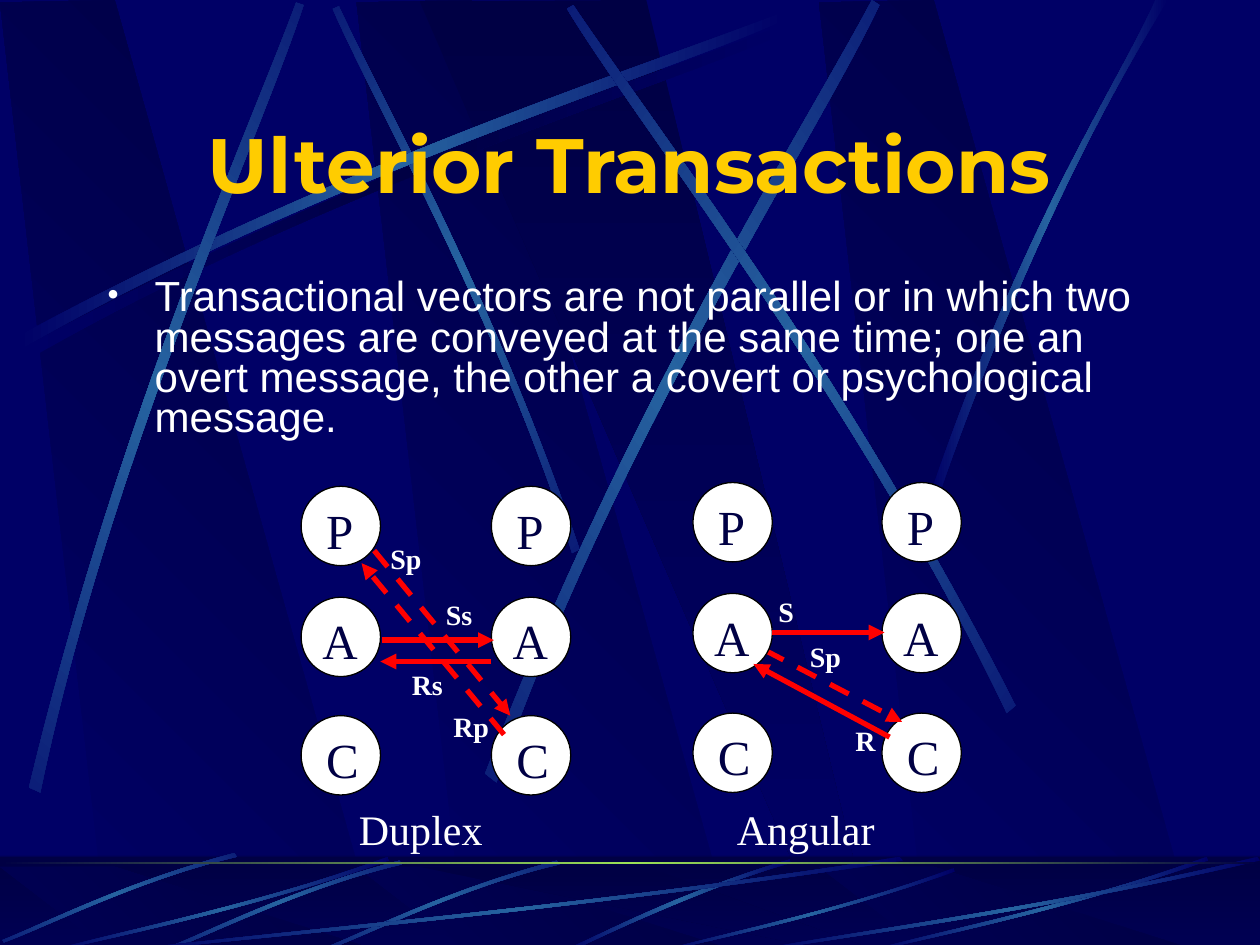
from copy import deepcopy
from math import cos, radians, sin

from lxml import etree
from pptx import Presentation
from pptx.dml.color import RGBColor
from pptx.enum.dml import MSO_LINE
from pptx.enum.shapes import MSO_CONNECTOR, MSO_SHAPE
from pptx.enum.text import MSO_ANCHOR, PP_ALIGN
from pptx.oxml.ns import qn
from pptx.util import Pt

PX = 9144  # EMU; 100 px to the inch
NAVY = RGBColor(0x00, 0x00, 0x66)
DARK = RGBColor(0x00, 0x00, 0x44)
STEEL = RGBColor(0x26, 0x63, 0xA0)
LIME = RGBColor(0x9C, 0xE1, 0x57)
GOLD = RGBColor(0xFF, 0xCC, 0x00)
WHITE = RGBColor(0xFF, 0xFF, 0xFF)
BLACK = RGBColor(0x00, 0x00, 0x00)
RED = RGBColor(0xFF, 0x00, 0x00)
SERIF = "Times New Roman"
DASH = MSO_LINE.DASH
STRAIGHT = MSO_CONNECTOR.STRAIGHT
OVAL, RECTANGLE = MSO_SHAPE.OVAL, MSO_SHAPE.RECTANGLE
CENTER, LEFT = PP_ALIGN.CENTER, PP_ALIGN.LEFT
MIDDLE, TOP = MSO_ANCHOR.MIDDLE, MSO_ANCHOR.TOP

FADE = (NAVY, STEEL, NAVY)
SHADE = (NAVY, DARK, NAVY)
BAND = ((86, 750), (302, 752), (91, 0), (0, 2))
WIDE_BAND = ((333, 1), (658, 751), (694, 751), (513, 0))
FOOT_BAND = ((86, 754), (302, 755), (91, 688), (0, 688))
WIDE_FOOT_BAND = ((333, 688), (658, 754), (694, 754), (513, 688))

# Each streak is two cubic curves of four points, joined into a closed outline.
SWEEP = ((14, 267), (278, 125), (518, 51), (620, 10),
         (623, 16), (522, 61), (248, 143), (17, 277))
SHORT_BEAM = ((460, 436), (391, 234), (302, 77), (269, 5),
              (264, 7), (295, 79), (398, 258), (454, 439))
LEFT_BEAM = ((23, 625), (93, 334), (197, 105), (235, 2),
             (241, 4), (207, 108), (86, 368), (32, 629))
MIDDLE_BEAM = ((385, 614), (498, 320), (638, 102), (692, 0),
               (698, 4), (649, 108), (486, 355), (394, 621))
RIGHT_BEAM = ((806, 560), (670, 293), (516, 95), (455, 4),
              (450, 7), (507, 101), (685, 325), (799, 566))
FAINT_BEAM = ((738, 393), (814, 173), (888, 66), (917, 0),
              (927, 0), (836, 145), (769, 322), (744, 397))
FOOT_ARC = ((627, 682), (537, 709), (477, 742), (448, 754),
            (453, 755), (490, 737), (571, 700), (628, 685))
FOOT_BEAM = ((186, 677), (99, 700), (33, 734), (2, 746),
             (3, 748), (34, 737), (110, 698), (188, 680))
# Fractions of the width, with heights in px below the top
FOOT_STREAK = ((1, 3), (0.57, 43), (0.17, 64), (0.005, 75),
               (0, 74), (0.165, 61), (0.615, 38), (0.995, 0))


def shifted(points, dx, dy=0):
    return [(x + dx, y + dy) for x, y in points]


def turned(points, degrees):
    """Points turned clockwise about the slide's top left corner."""
    c, s = cos(radians(degrees)), sin(radians(degrees))
    return [(x * c - y * s, x * s + y * c) for x, y in points]


def before_turn(points, degrees):
    """Where points lie before their shape is turned about its own centre."""
    upright = turned(points, -degrees)
    centre = [(min(axis) + max(axis)) / 2 for axis in zip(*upright)]
    x, y = turned([centre], degrees)[0]
    return shifted(upright, x - centre[0], y - centre[1])


def bend(shape):
    """Turn the two long sides of an eight-point outline into cubic curves."""
    lines = list(shape._element.spPr.iter(qn("a:lnTo")))
    for side in (lines[:3], lines[4:7]):
        curve = etree.Element(qn("a:cubicBezTo"))
        side[0].addprevious(curve)
        for line in side:
            curve.append(line[0])
            line.getparent().remove(line)


def write(shape, text, *, size, color=WHITE, font=SERIF, bold=False,
          align=LEFT, anchor=TOP, spacing=None, bullet=None, indent=0):
    frame = shape.text_frame
    frame.word_wrap = True
    frame.vertical_anchor = anchor
    paragraph = frame.paragraphs[0]
    paragraph.text = text
    paragraph.alignment = align
    if spacing:
        paragraph.line_spacing = spacing
    if bullet:
        props = paragraph._p.get_or_add_pPr()
        props.set("marL", str(indent * PX))
        props.set("indent", str(-indent * PX))
        etree.SubElement(props, qn("a:buSzPct")).set("val", "85000")
        etree.SubElement(props, qn("a:buFont")).set("typeface", SERIF)
        etree.SubElement(props, qn("a:buChar")).set("char", bullet)
    style = paragraph.runs[0].font
    style.size, style.name, style.bold = Pt(size), font, bold
    style.color.rgb = color


class Stage:
    """Holds the slide and draws each kind of element on it in px."""

    def __init__(self, slide):
        self.slide = slide
        self.shapes = slide.shapes

    def paint(self, shape, colors, angle=0):
        """Fill with one colour, or an even gradient turned counter-clockwise."""
        shape.shadow.inherit = False
        shape.line.fill.background()
        if len(colors) == 1:
            shape.fill.solid()
            shape.fill.fore_color.rgb = colors[0]
            return
        shape.fill.gradient()
        shape.fill.gradient_angle = angle
        stop_list = next(shape._element.spPr.iter(qn("a:gsLst")))
        for _ in colors[2:]:
            stop_list.insert(1, deepcopy(stop_list[0]))
        for i, stop in enumerate(shape.fill.gradient_stops):
            stop.color.rgb = colors[i]
            stop.position = i / (len(colors) - 1)

    def polygon(self, points, colors, angle=0):
        corners = [(x * PX, y * PX) for x, y in points]
        builder = self.shapes.build_freeform(*corners[0], scale=1.0)
        builder.add_line_segments(corners[1:], close=True)
        shape = builder.convert_to_shape()
        self.paint(shape, colors, angle)
        return shape

    def streak(self, points, colors=FADE, turn=0):
        shape = self.polygon(before_turn(points, turn), colors)
        bend(shape)
        shape.rotation = turn

    def block(self, left, top, width, height, colors, angle=0, kind=RECTANGLE):
        shape = self.shapes.add_shape(
            kind, left * PX, top * PX, width * PX, height * PX)
        self.paint(shape, colors, angle)
        return shape

    def text(self, left, top, width, height, words, **style):
        box = self.shapes.add_textbox(
            left * PX, top * PX, width * PX, height * PX)
        write(box, words, **style)

    def arrow(self, x1, y1, x2, y2, dash=None):
        line = self.shapes.add_connector(
            STRAIGHT, x1 * PX, y1 * PX, x2 * PX, y2 * PX)
        line.line.color.rgb = RED
        line.line.width = Pt(3)
        if dash:
            line.line.dash_style = dash
        outline = line.line._get_or_add_ln()
        etree.SubElement(outline, qn("a:tailEnd")).set("type", "triangle")
        etree.SubElement(line._element.spPr, qn("a:effectLst"))

    def ego_state(self, letter, columns, top):
        """The same lettered circle for each of the two people."""
        inset = 7 if letter == "A" else 10
        for left in columns:
            circle = self.block(left, top, 63, 63, (WHITE,), kind=OVAL)
            circle.line.color.rgb = BLACK
            circle.line.width = Pt(0.75)
            self.text(left + inset, top + 6, 47, 47, letter,
                      size=28, color=DARK)

    def backdrop(self):
        background = self.slide.background.fill
        background.solid()
        background.fore_color.rgb = NAVY
        for dx in (283, 0, 650):
            self.polygon(shifted(BAND, dx), (NAVY, DARK), 45)
        self.polygon(WIDE_BAND, (DARK, NAVY), 270)
        self.streak(shifted(SWEEP, 6, 8), SHADE)
        for beam, turn in ((SHORT_BEAM, 45), (SWEEP, 0), (LEFT_BEAM, 311.7),
                           (MIDDLE_BEAM, 321.6), (RIGHT_BEAM, 34.8),
                           (FAINT_BEAM, 0)):
            self.streak(beam, turn=turn)

    def footer(self):
        self.block(0, 680, 1000, 75, (DARK, NAVY), 270)
        for dx in (283, 0, 650):
            self.polygon(shifted(FOOT_BAND, dx), (NAVY, DARK), 45)
        self.polygon(WIDE_FOOT_BAND, (DARK, NAVY), 270)
        veil = self.block(0, 679, 1000, 75, (DARK,))
        tint = next(veil._element.spPr.iter(qn("a:srgbClr")))
        etree.SubElement(tint, qn("a:alpha")).set("val", "50000")
        self.streak(FOOT_ARC)
        for dx, dy in ((256, 6), (131, 6), (0, 0)):
            self.streak(shifted(FOOT_BEAM, dx, dy), turn=314.9)
        for left, top, width in ((100, 680, 617), (42, 680, 267),
                                 (527, 689, 231), (692, 680, 267),
                                 (600, 680, 400)):
            drop = (755 - top) / 75
            self.streak([(left + x * width, top + y * drop)
                         for x, y in FOOT_STREAK])
        self.block(0, 684, 1000, 2, (DARK, LIME, DARK))


def main():
    deck = Presentation()
    deck.slide_width, deck.slide_height = 1000 * PX, 750 * PX
    stage = Stage(deck.slides.add_slide(deck.slide_layouts[6]))
    stage.backdrop()
    stage.footer()
    stage.text(58, 88, 883, 83, "Ulterior Transactions", size=44, color=GOLD,
               font="Montserrat", bold=True, align=CENTER, anchor=MIDDLE)

    duplex, angular = (239, 390), (550, 700)
    for letter, top in (("P", 386), ("A", 474), ("C", 568)):
        stage.ego_state(letter, duplex, top)
    stage.arrow(303, 508, 392, 508)
    stage.arrow(390, 525, 302, 525)
    stage.arrow(400, 583, 287, 447, dash=DASH)
    stage.arrow(297, 437, 405, 568, dash=DASH)

    stage.text(75, 217, 850, 142,
               "Transactional vectors are not parallel or in which two messages "
               "are conveyed at the same time; one an overt message, the other "
               "a covert or psychological message.",
               size=24, font="Arial", spacing=0.8, bullet="•", indent=38)

    stage.ego_state("C", angular, 566)
    stage.arrow(607, 516, 716, 573, dash=DASH)
    stage.ego_state("P", angular, 383)
    stage.ego_state("A", angular, 471)
    stage.arrow(613, 502, 702, 502)
    stage.arrow(706, 585, 598, 527)

    for left, top, width, message in (
            (608, 467, 47, "S"), (669, 569, 47, "R"), (633, 503, 47, "Sp"),
            (300, 425, 47, "Sp"), (344, 469, 47, "Ss"), (350, 558, 56, "Rp"),
            (317, 525, 56, "Rs")):
        stage.text(left, top, width, 47, message, size=16, bold=True)
    for left, name in ((275, "Duplex"), (575, "Angular")):
        stage.text(left, 633, 175, 50, name, size=24)
    deck.save("out.pptx")


if __name__ == "__main__":
    main()
